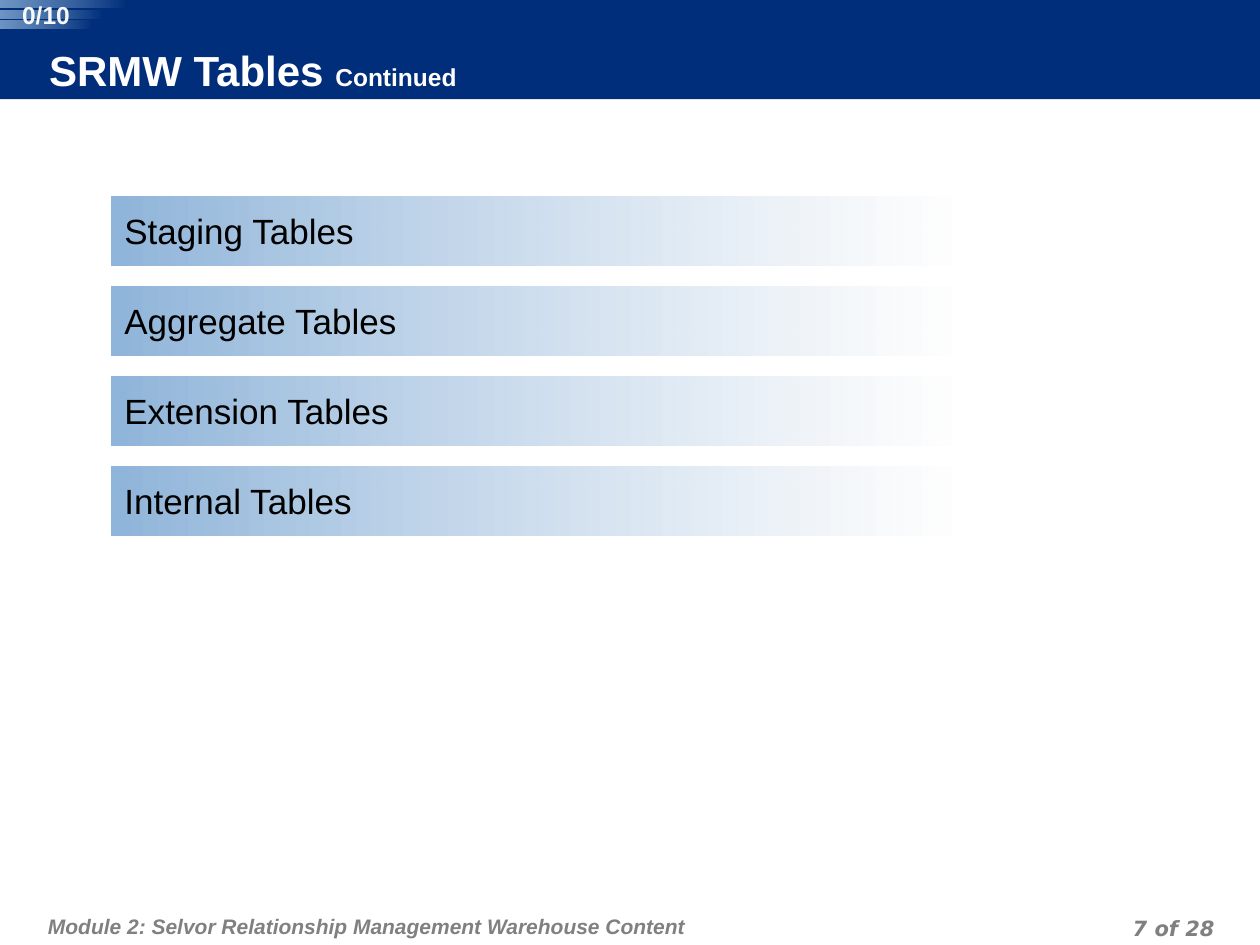
"""Build the SRMW tables slide with its banner, list bars and footer."""
import pptx
import pptx.dml.color
import pptx.enum.shapes
import pptx.enum.text
import pptx.oxml.ns
import pptx.util
from lxml import etree

Pt = pptx.util.Pt
RGBColor = pptx.dml.color.RGBColor
SHAPE = pptx.enum.shapes.MSO_SHAPE
ANCHOR = pptx.enum.text.MSO_ANCHOR
ALIGN = pptx.enum.text.PP_ALIGN

NAVY = RGBColor(0x00, 0x2E, 0x7A)
SKY = RGBColor(0x90, 0xB5, 0xDA)
PALE = RGBColor(0xFE, 0xFE, 0xFE)
GREY = RGBColor(0x80, 0x80, 0x80)
OFF_WHITE = RGBColor(0xF8, 0xF8, 0xF8)
WHITE = RGBColor(0xFF, 0xFF, 0xFF)
BLACK = RGBColor(0x00, 0x00, 0x00)


class SlideBuilder:
    def __init__(self, slide, font="Arial"):
        self.slide = slide
        self.font = font

    def rectangle(self, box, color=None, kind=SHAPE.RECTANGLE, shapes=None):
        shapes = self.slide.shapes if shapes is None else shapes
        shape = shapes.add_shape(kind, *map(Pt, box))
        shape.shadow.inherit = False
        shape.line.fill.background()
        if color is not None:
            shape.fill.solid()
            shape.fill.fore_color.rgb = color
        return shape

    def gradient_bar(self, box, stops, shapes=None):
        shape = self.rectangle(box, kind=SHAPE.ROUNDED_RECTANGLE, shapes=shapes)
        shape.adjustments[0] = 0
        shape.fill.gradient()
        shape.fill.gradient_angle = 180
        for stop, (color, opacity) in zip(shape.fill.gradient_stops, stops):
            stop.color.rgb = color
        colors = shape.element.spPr.iter(pptx.oxml.ns.qn("a:srgbClr"))
        for element, (color, opacity) in zip(list(colors), stops):
            if opacity < 100:
                alpha = etree.SubElement(element, pptx.oxml.ns.qn("a:alpha"))
                alpha.set("val", str(opacity * 1000))
        return shape

    def text_box(self, box, shapes=None):
        shapes = self.slide.shapes if shapes is None else shapes
        return shapes.add_textbox(*map(Pt, box))

    def set_text(self, shape, texts, sizes, color, margins=(0, 0, 0, 0), bold=False,
                 italic=False, align=ALIGN.LEFT, anchor=ANCHOR.TOP, font=None, spacing=None):
        frame = shape.text_frame
        frame.word_wrap = True
        frame.vertical_anchor = anchor
        (frame.margin_left, frame.margin_top,
         frame.margin_right, frame.margin_bottom) = map(Pt, margins)
        paragraph = frame.paragraphs[0]
        paragraph.alignment = align
        if spacing:
            paragraph.line_spacing = Pt(spacing)
        for text, size in zip(texts, sizes):
            run = paragraph.add_run()
            run.text = text
            run.font.name = font or self.font
            run.font.size = Pt(size)
            run.font.bold = bold
            run.font.italic = italic
            run.font.color.rgb = color


def main():
    presentation = pptx.Presentation()
    presentation.slide_width, presentation.slide_height = Pt(720), Pt(540)
    slide = presentation.slides.add_slide(presentation.slide_layouts[6])
    builder = SlideBuilder(slide)

    builder.rectangle((0, 0, 720, 56.6), NAVY)
    footer_style = dict(bold=True, italic=True, spacing=18)
    module = builder.text_box((23.8, 511.2, 445, 28.8))
    builder.set_text(module, ["Module 2: Selvor Relationship Management Warehouse Content"],
                     [12], GREY, (3.6, 7.2, 3.6, 3.6), **footer_style)
    page = builder.text_box((530, 519.8, 167.7, 18))
    builder.set_text(page, ["7 of 28"], [12], GREY, (3.6, 0, 3.6, 0),
                     align=ALIGN.RIGHT, font="DejaVu Sans", **footer_style)

    title = builder.rectangle((28.1, 27.4, 566.6, 28.8), NAVY)
    builder.set_text(title, ["SRMW Tables ", "Continued"], [24, 14], WHITE,
                     (0, 0, 3.6, 3.6), bold=True, anchor=ANCHOR.MIDDLE)

    table_kinds = ["Staging Tables", "Aggregate Tables", "Extension Tables", "Internal Tables"]
    for index, name in enumerate(table_kinds):
        bar = builder.gradient_bar((64, 112.3 + 51.4 * index, 479.5, 39.6),
                                   [(PALE, 75), (SKY, 100)])
        builder.set_text(bar, [name], [20], BLACK, (7.2, 7.2, 7.2, 3.6))

    badge = slide.shapes.add_group_shape()
    for index, width in enumerate((72.7, 59, 52.6)):
        builder.gradient_bar((0, 5.9 * index, width, 4.6),
                             [(NAVY, 100), (SKY, 76)], badge.shapes)
    counter = builder.text_box((7.9, 0, 36.7, 16.6), badge.shapes)
    builder.set_text(counter, ["0/10"], [14], OFF_WHITE, bold=True, align=ALIGN.CENTER)

    presentation.save("out.pptx")


if __name__ == "__main__":
    main()
